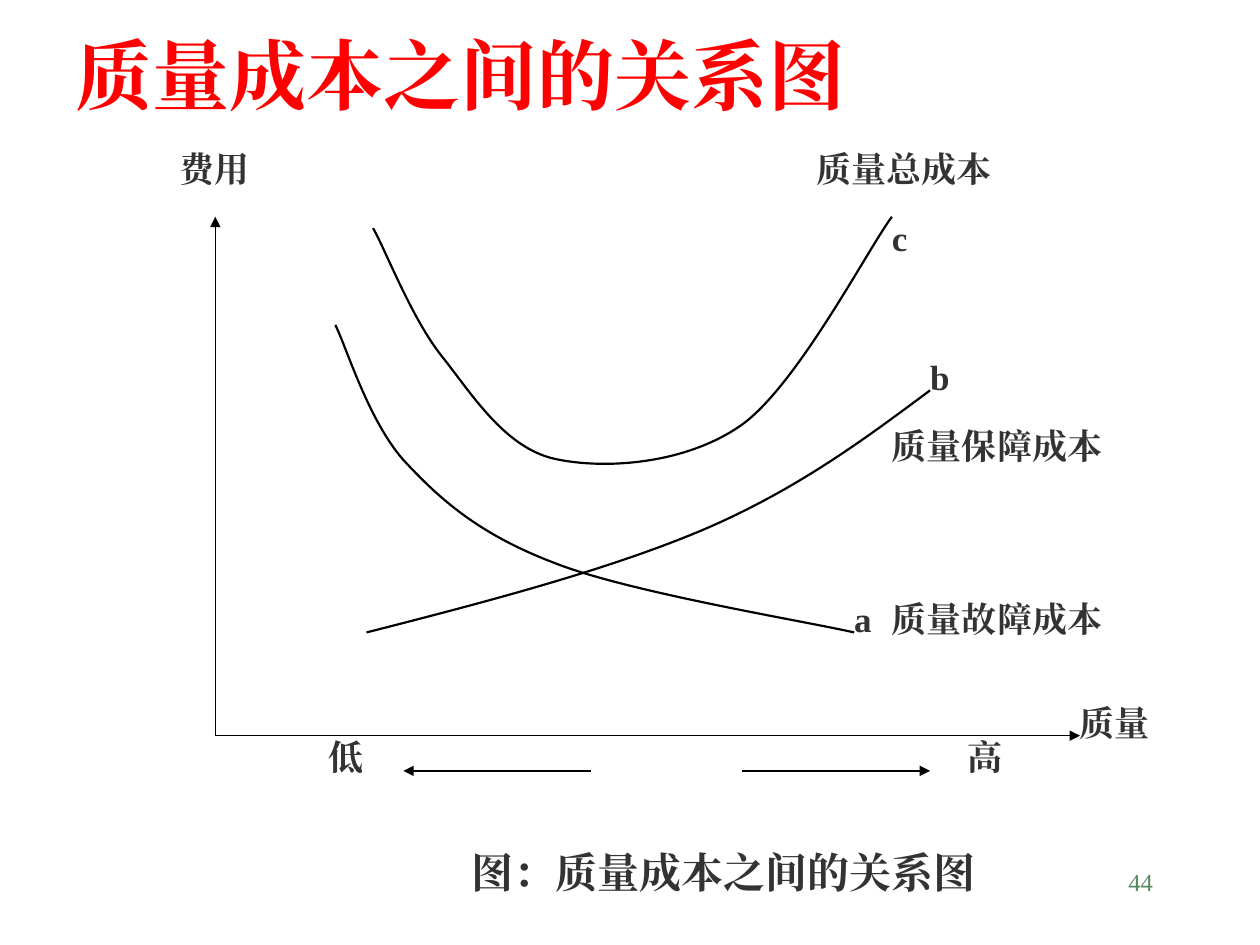
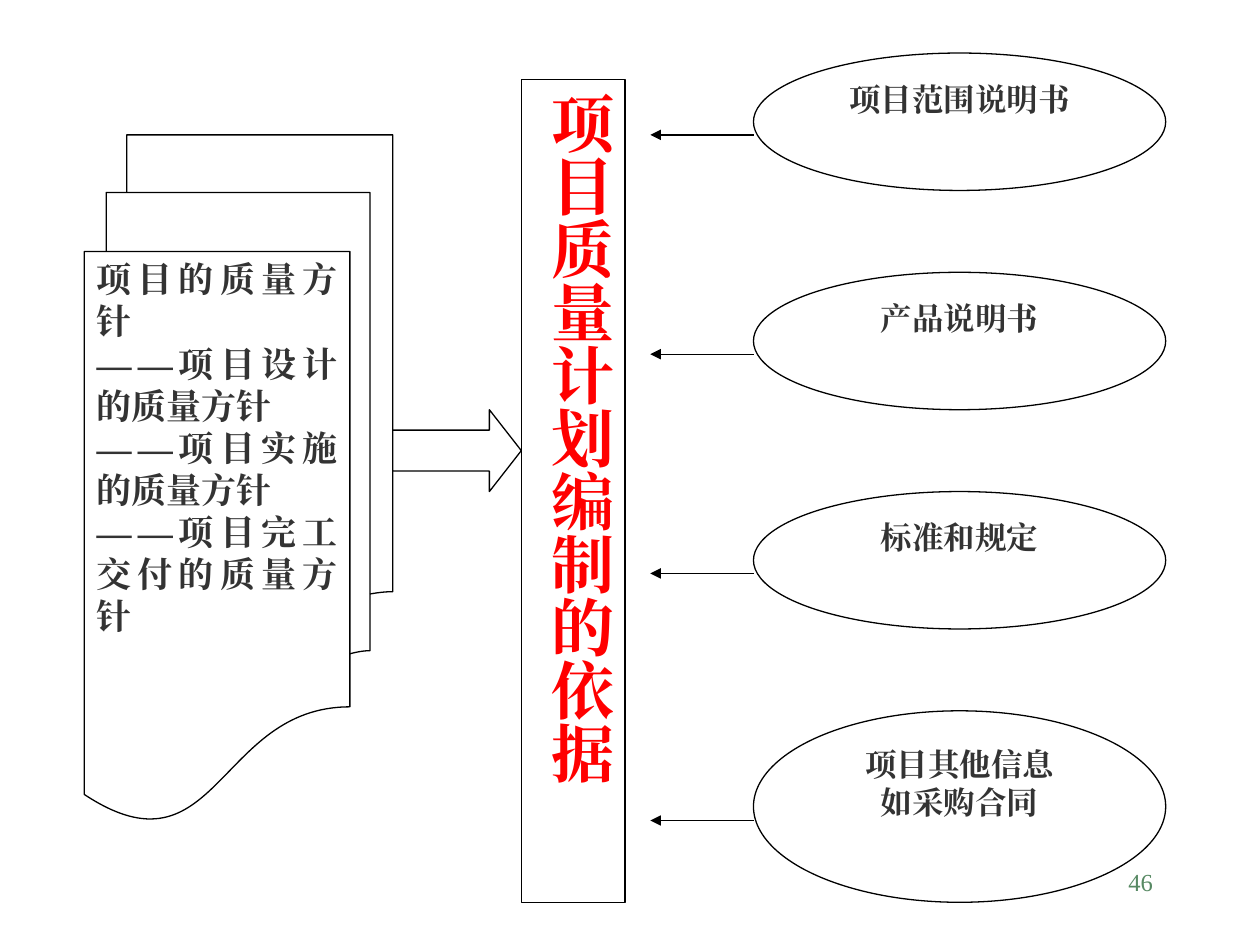
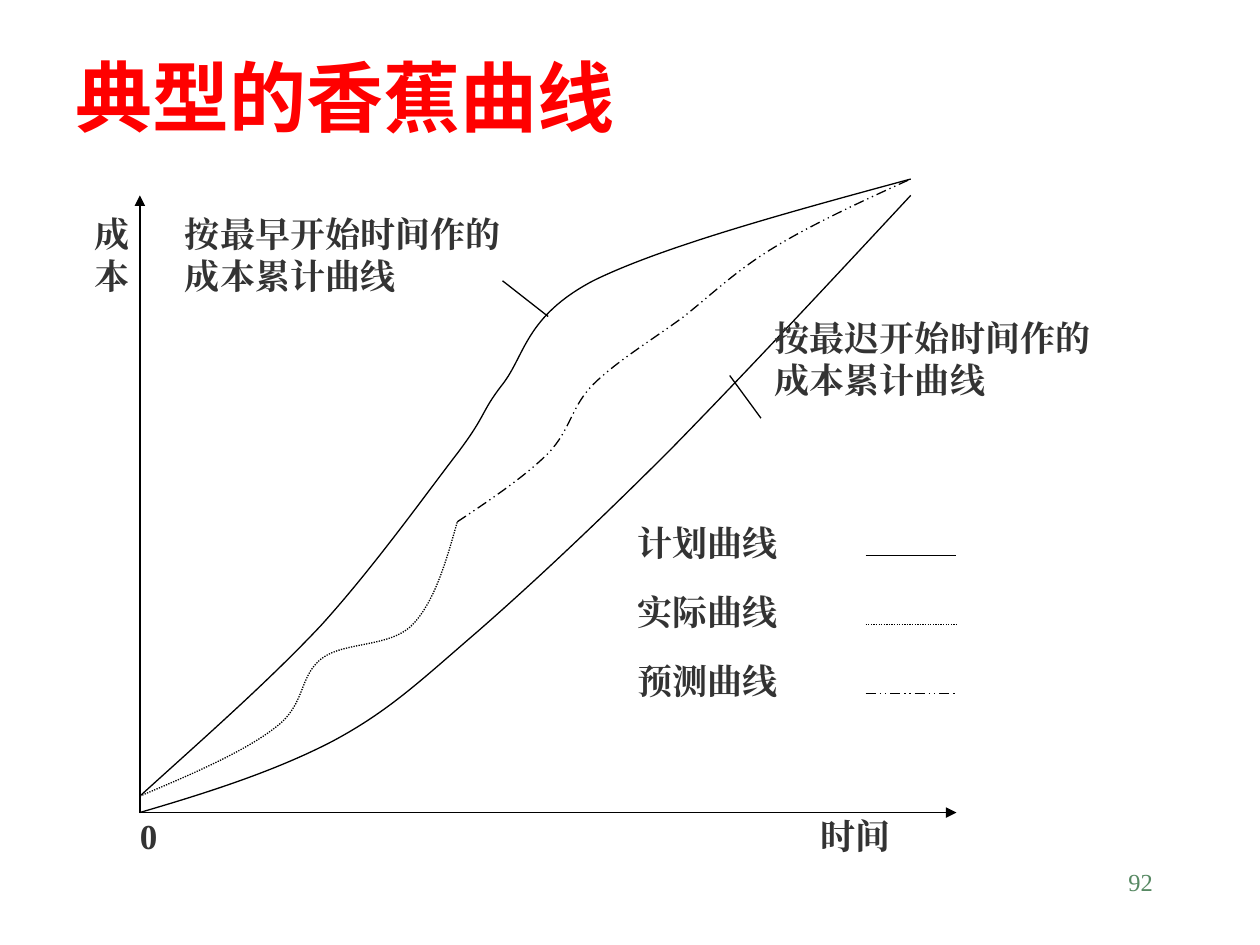
"""Build three slides on project quality and cost."""
from lxml.etree import SubElement
from pptx import Presentation
from pptx.dml.color import RGBColor
from pptx.enum.dml import MSO_LINE as DASH
from pptx.enum.shapes import MSO_CONNECTOR, MSO_SHAPE as SHAPE
from pptx.enum.text import MSO_ANCHOR as ANCHOR, PP_ALIGN as ALIGN
from pptx.oxml.ns import qn
from pptx.util import Cm, Pt

BLACK, WHITE, RED, GRAY, GREEN = "000000", "FFFFFF", "FF0000", "333333", "578963"
SERIF, SANS = "Times New Roman", "Noto Sans CJK SC"
INSETS, NO_INSETS = (0.25, 0.13, 0.25, 0.13), (0, 0, 0, 0)
PLANNED, ACTUAL, FORECAST = None, DASH.ROUND_DOT, DASH.DASH_DOT_DOT

FAULT_CURVE = [
    (6.76, 6.55), (6.99, 7.01), (7.42, 8.46), (8.13, 9.27), (8.86, 10.06),
    (9.65, 10.77), (11.18, 11.35), (12.67, 11.94), (16.21, 12.52), (17.22, 12.75)]
ASSURANCE_CURVE = [
    (18.75, 7.87), (17.42, 8.86), (16.08, 9.86), (14.2, 10.67), (12.29, 11.48),
    (9.86, 12.12), (7.39, 12.75)]
TOTAL_CURVE = [
    (7.52, 4.6), (7.77, 5.03), (8.28, 6.38), (8.89, 7.16), (9.5, 7.92),
    (10.16, 9.02), (11.18, 9.25), (12.17, 9.47), (13.82, 9.37), (14.96, 8.56),
    (16.08, 7.75), (17.48, 5.05), (17.98, 4.37)]
LATEST_CURVE = [
    (2.82, 16.38), (4.19, 15.98), (5.56, 15.54), (6.71, 14.94), (7.85, 14.33),
    (8.48, 13.72), (9.63, 12.73), (10.74, 11.76), (12.04, 10.54), (13.51, 9.07),
    (14.96, 7.59), (16.66, 5.77), (18.36, 3.94)]
EARLIEST_CURVE = [
    (2.82, 16.05), (4.11, 14.88), (5.41, 13.74), (6.48, 12.6), (7.54, 11.43),
    (8.61, 9.93), (9.22, 9.14), (9.83, 8.33), (9.68, 8.33), (10.13, 7.75),
    (10.59, 7.16), (10.59, 6.38), (11.96, 5.66), (13.34, 4.98), (15.85, 4.29),
    (18.36, 3.61)]
ACTUAL_CURVE = [
    (2.82, 16.05), (3.89, 15.6), (4.95, 15.14), (5.56, 14.66), (6.17, 14.2),
    (6.02, 13.64), (6.48, 13.28), (6.93, 12.93), (7.85, 13.06), (8.31, 12.6),
    (8.76, 12.14), (8.99, 11.33), (9.22, 10.52)]
FORECAST_CURVE = [
    (9.22, 10.52), (9.91, 10.06), (10.59, 9.6), (11.05, 9.14), (11.51, 8.66),
    (11.51, 8.2), (11.96, 7.75), (12.42, 7.29), (13.18, 6.83), (13.79, 6.38),
    (14.4, 5.89), (14.86, 5.44), (15.62, 4.98), (16.38, 4.52), (17.37, 4.06),
    (18.36, 3.61)]


def color(hex_code):
    """Turn a hex string into a colour."""
    return RGBColor.from_string(hex_code)


def style_line(line, width=0.75, dash=None):
    """Give a line its black colour, width and dash."""
    line.color.rgb = color(BLACK)
    line.width = Pt(width)
    if dash is not None:
        line.dash_style = dash


def write_text(shape, text, size=20, hex_code=GRAY, font=SERIF, bold=True,
               align=ALIGN.JUSTIFY, anchor=ANCHOR.TOP, insets=INSETS):
    """Fill a shape with text, one paragraph per line."""
    frame = shape.text_frame
    frame.word_wrap = True
    frame.vertical_anchor = anchor
    (frame.margin_left, frame.margin_top,
     frame.margin_right, frame.margin_bottom) = map(Cm, insets)
    for index, content in enumerate(text.split("\n")):
        paragraph = frame.add_paragraph() if index else frame.paragraphs[0]
        paragraph.alignment = align
        run = paragraph.add_run()
        run.text = content
        run.font.size = Pt(size)
        run.font.bold = bold
        run.font.name = font
        run.font.color.rgb = color(hex_code)
        SubElement(run.font._element, qn("a:ea"), typeface=font)


def add_text(slide, text, left, top, width, height, **text_format):
    """Add a text box."""
    box = slide.shapes.add_textbox(Cm(left), Cm(top), Cm(width), Cm(height))
    write_text(box, text, **text_format)


def add_label(slide, text, left, top, width, height=1.4):
    """Add a diagram label without insets."""
    add_text(slide, text, left, top, width, height, insets=NO_INSETS)


def add_title(slide, text, top, font=SERIF):
    """Add the red slide title."""
    add_text(slide, text, 1.27, top, 23.29, 1.7, size=44, hex_code=RED,
             font=font, align=ALIGN.LEFT, anchor=ANCHOR.MIDDLE)


def add_page_number(slide, number):
    """Add the green page number."""
    add_text(slide, str(number), 18.21, 17.35, 5.28, 1.27, size=14,
             hex_code=GREEN, bold=False, align=ALIGN.RIGHT)


def add_box(slide, kind, left, top, width, height, outlined=True):
    """Add a white preset shape."""
    shape = slide.shapes.add_shape(kind, Cm(left), Cm(top), Cm(width), Cm(height))
    shape.shadow.inherit = False
    shape.fill.solid()
    shape.fill.fore_color.rgb = color(WHITE)
    if outlined:
        style_line(shape.line)
    else:
        shape.line.fill.background()
    return shape


def add_line(slide, start, end, arrow=False, dash=None):
    """Add a straight line, with an arrowhead at its end if wanted."""
    connector = slide.shapes.add_connector(
        MSO_CONNECTOR.STRAIGHT, *map(Cm, start + end))
    style_line(connector.line, dash=dash)
    properties = connector._element.spPr
    if arrow:
        SubElement(properties.find(qn("a:ln")), qn("a:tailEnd"), type="triangle")
    SubElement(properties, qn("a:effectLst"))


def add_axes(slide, origin, right, top):
    """Add a horizontal and a vertical axis with arrowheads."""
    add_line(slide, origin, (right, origin[1]), arrow=True)
    add_line(slide, origin, (origin[0], top), arrow=True)


def add_curve(slide, points, width=0.75, dash=None):
    """Add a Bezier curve given its start, then control and end points in threes."""
    start, *rest = [(Cm(x), Cm(y)) for x, y in points]
    builder = slide.shapes.build_freeform(*start)
    builder.add_line_segments(rest, close=False)
    shape = builder.convert_to_shape()
    shape.shadow.inherit = False
    shape.fill.background()
    style_line(shape.line, width, dash)
    path = next(shape._element.iter(qn("a:path")))
    segments = path.findall(qn("a:lnTo"))
    for index in range(0, len(segments), 3):
        bezier = SubElement(path, qn("a:cubicBezTo"))
        for segment in segments[index:index + 3]:
            bezier.append(segment[0])
            path.remove(segment)


def build_cost_relations(slide):
    """Draw the curves of quality costs."""
    add_axes(slide, (4.34, 14.83), 21.77, 4.37)
    for curve in (FAULT_CURVE, ASSURANCE_CURVE, TOTAL_CURVE):
        add_curve(slide, curve, width=1.25)
    for text, left, top, width in (
            ("质量总成本", 16.46, 2.97, 3.78),
            ("低", 6.63, 14.83, 0.76),
            ("高", 19.51, 14.83, 0.76),
            ("质量保障成本", 17.98, 8.56, 4.55),
            ("质量故障成本", 17.98, 12.04, 4.55),
            ("质量", 21.77, 14.15, 1.52),
            ("费用", 3.61, 2.97, 1.52),
            ("a", 17.22, 12.04, 0.76),
            ("b", 18.75, 7.16, 0.76),
            ("c", 17.98, 4.37, 0.76)):
        add_label(slide, text, left, top, width)
    for start, end in ((14.96, 18.75), (11.91, 8.13)):
        add_line(slide, (start, 15.54), (end, 15.54), arrow=True)
    caption = add_box(slide, SHAPE.RECTANGLE, 8.15, 16.94, 12.88, 2.11, outlined=False)
    write_text(caption, "图：质量成本之间的关系图", size=24, align=ALIGN.CENTER)
    add_title(slide, "质量成本之间的关系图", 0.64)
    add_page_number(slide, 44)


def build_plan_basis(slide):
    """Draw the inputs of the quality plan."""
    policies = add_box(slide, SHAPE.FLOWCHART_MULTIDOCUMENT, 1.7, 2.72, 6.22, 13.82)
    write_text(policies, "项目的质量方针\n——项目设计的质量方针\n"
                         "——项目实施的质量方针\n——项目完工交付的质量方针")
    plan = add_box(slide, SHAPE.RECTANGLE, 10.52, 1.6, 2.08, 16.59)
    write_text(plan, "项目质量计划编制的依据", size=36, hex_code=RED,
               align=ALIGN.CENTER, insets=(0.13, 0.25, 0.13, 0.25))
    plan.text_frame._txBody.bodyPr.set("vert", "eaVert")
    for row, (text, height, arrow_drop) in enumerate((
            ("项目范围说明书", 2.77, 1.65),
            ("产品说明书", 2.77, 1.65),
            ("标准和规定", 2.77, 1.65),
            ("项目其他信息\n如采购合同", 3.86, 2.21))):
        top = 1.07 + 4.42 * row
        source = add_box(slide, SHAPE.OVAL, 15.19, top, 8.31, height)
        write_text(source, text, size=18, align=ALIGN.CENTER)
        arrow_y = top + arrow_drop
        add_line(slide, (15.19, arrow_y), (13.11, arrow_y), arrow=True)
    block_arrow = add_box(slide, SHAPE.RIGHT_ARROW, 7.92, 8.26, 2.59, 1.65)
    block_arrow.adjustments[1] = 0.39
    add_page_number(slide, 46)


def build_banana_curve(slide):
    """Draw the banana curve with its legend."""
    add_axes(slide, (2.82, 16.38), 19.28, 3.94)
    for curve, dash in ((LATEST_CURVE, PLANNED), (EARLIEST_CURVE, PLANNED),
                        (ACTUAL_CURVE, ACTUAL), (FORECAST_CURVE, FORECAST)):
        add_curve(slide, curve, dash=dash)
    for row, (text, dash) in enumerate((
            ("计划曲线", PLANNED), ("实际曲线", ACTUAL), ("预测曲线", FORECAST))):
        offset = 1.39 * row
        add_label(slide, text, 12.85, 10.52 + offset, 3.68)
        add_line(slide, (17.45, 11.2 + offset), (19.28, 11.2 + offset), dash=dash)
    add_label(slide, "按最早开始时间作的\n成本累计曲线", 3.73, 4.29, 9.14, 2.77)
    add_label(slide, "按最迟开始时间作的\n成本累计曲线", 15.62, 6.38, 9.14, 2.77)
    add_line(slide, (10.13, 5.66), (11.05, 6.38))
    add_line(slide, (14.71, 7.57), (15.34, 8.43))
    add_label(slide, "成本", 1.91, 4.29, 0.91, 2.77)
    add_label(slide, "时间", 16.54, 16.41, 1.83)
    add_label(slide, "0", 2.82, 16.41, 0.91)
    add_title(slide, "典型的香蕉曲线", 1.07, font=SANS)
    add_page_number(slide, 92)


def main():
    """Build and save the presentation."""
    presentation = Presentation()
    presentation.slide_width, presentation.slide_height = Cm(25.4), Cm(19.05)
    blank = presentation.slide_layouts[6]
    for build in (build_cost_relations, build_plan_basis, build_banana_curve):
        build(presentation.slides.add_slide(blank))
    presentation.save("out.pptx")


if __name__ == "__main__":
    main()
